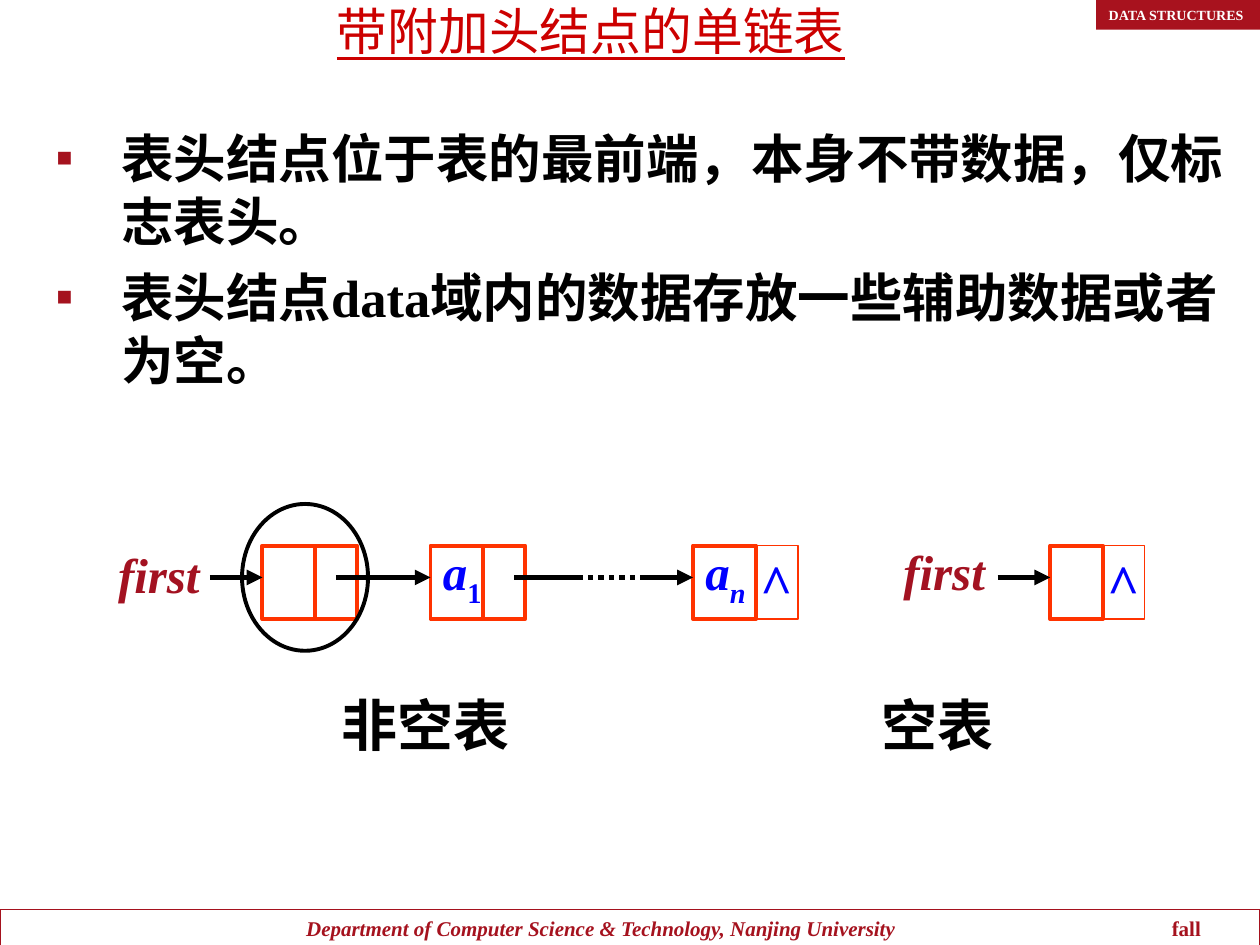
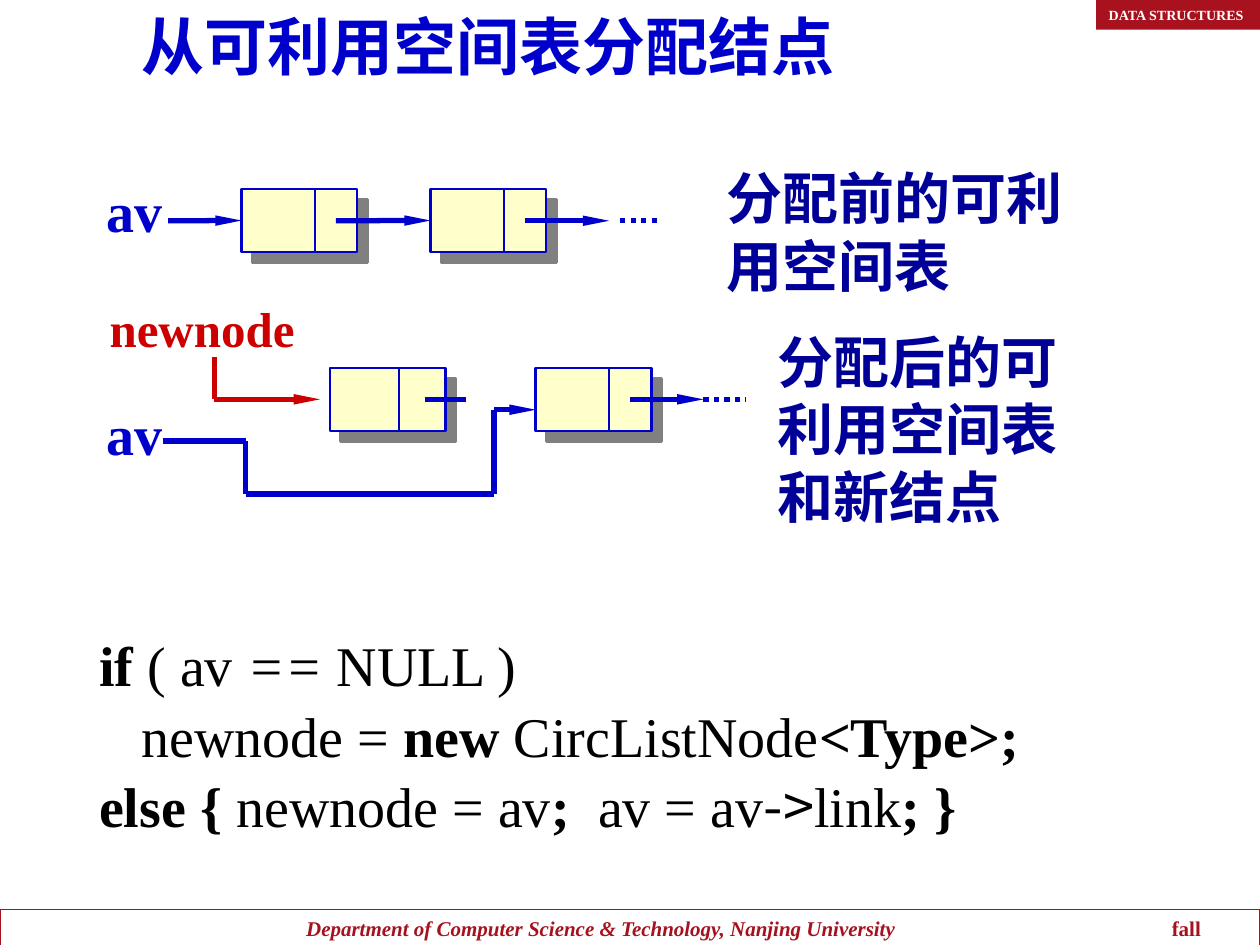
from itertools import pairwise

from lxml import etree
from pptx import Presentation
from pptx.dml.color import RGBColor
from pptx.enum.dml import MSO_LINE
from pptx.enum.shapes import MSO_CONNECTOR, MSO_SHAPE
from pptx.enum.text import MSO_ANCHOR, MSO_AUTO_SIZE, PP_ALIGN
from pptx.oxml.ns import qn
from pptx.util import Cm, Pt

RECT, OVAL = MSO_SHAPE.RECTANGLE, MSO_SHAPE.OVAL
LINE, DOT = MSO_CONNECTOR.STRAIGHT, MSO_LINE.ROUND_DOT
TOP, MID = MSO_ANCHOR.TOP, MSO_ANCHOR.MIDDLE
LEFT, CENTER, RIGHT = PP_ALIGN.LEFT, PP_ALIGN.CENTER, PP_ALIGN.RIGHT
FIXED = MSO_AUTO_SIZE.NONE


class Theme:
    serif, sans = "Times New Roman", "Noto Sans CJK SC"
    wine, band, first = "A5121E", "A8121E", "A31221"
    red, blue, navy, ink = "CC0000", "0000CC", "000099", "000000"
    white, edge, mark = "FFFFFF", "FF3300", "0000FF"
    cream, shade = "FFFFCC", "808080"
    tiny, small, label, body, big = 8, 12, 28, 30, 32
    head, title = 29, 36
    thin, edge_w, node_w, line_w = 0.75, 2.25, 1.5, 3


HEAD = "带附加头结点的单链表"
POINTS = [
    "表头结点位于表的最前端，本身不带数据，仅标志表头。",
    "表头结点data域内的数据存放一些辅助数据或者为空。",
]
CELLS = [
    (5.29, 1.06, None, False),
    (8.68, 1.06, ("a", "1"), False),
    (13.97, 1.27, ("a", "n"), True),
    (21.17, 1.06, None, True),
]
LINKS = [
    (4.23, 5.29, "arrow"),
    (6.77, 8.68, "arrow"),
    (10.37, 11.64, ""),
    (11.64, 12.91, "dot"),
    (12.91, 13.97, "arrow"),
    (20.11, 21.17, "arrow"),
]
FIRSTS = [(2.13, 10.85), (17.96, 10.8)]
NAMES = [("非空表", 6.63), ("空表", 17.53)]

SPACE = "从可利用空间表分配结点"
NODES = [
    (4.87, 3.81, 1.48),
    (8.68, 3.81, 1.48),
    (6.65, 7.42, 1.39),
    (10.8, 7.42, 1.48),
]
ROUTES = [
    (Theme.blue, "arrow", [(3.39, 4.45), (4.87, 4.45)]),
    (Theme.blue, "arrow", [(6.77, 4.45), (8.68, 4.45)]),
    (Theme.blue, "arrow", [(10.58, 4.45), (12.28, 4.45)]),
    (Theme.blue, "dot", [(12.5, 4.45), (13.34, 4.45)]),
    (Theme.red, "arrow", [(4.32, 7.2), (4.32, 8.05), (6.45, 8.05)]),
    (Theme.blue, "", [(8.56, 8.05), (9.4, 8.05)]),
    (Theme.blue, "arrow", [(12.7, 8.05), (14.18, 8.05)]),
    (Theme.blue, "dot", [(14.18, 8.05), (15.03, 8.05)]),
    (Theme.blue, "arrow", [(3.28, 8.89), (4.95, 8.89), (4.95, 9.96),
                           (9.96, 9.96), (9.96, 8.26), (10.8, 8.26)]),
]
TAGS = [
    ("av", (1.9, 3.43, 2, 1.63), Theme.big, Theme.blue),
    ("newnode", (1.96, 5.89, 4.6, 1.45), Theme.label, Theme.red),
    ("av", (1.9, 7.92, 2, 1.63), Theme.big, Theme.blue),
    ("分配前的可利用空间表", (14.4, 3.18, 7.42, 2.97), Theme.big, Theme.navy),
    ("分配后的可利用空间表和新结点", (15.42, 6.48, 6.81, 4.32), Theme.big, Theme.navy),
]
CODE = [
    [("if", "b"), (" ( av ", ""), ("==", "i"), (" NULL )", "")],
    [("   newnode = ", ""), ("new", "b"), (" CircListNode", ""), ("<Type>;", "b")],
    [("else {", "b"), (" newnode = av", ""), (";", "b"), ("  av = av", ""),
     ("->", "s"), ("link", ""), ("; }", "b")],
]


def rgb(code):
    return RGBColor.from_string(code)


def style(run, size, color, bold=True, italic=False, face=Theme.serif):
    font = run.font
    font.size, font.bold, font.italic, font.name = Pt(size), bold, italic, face
    font.color.rgb = rgb(color)
    east = etree.SubElement(run._r.rPr, qn("a:ea"))
    east.set("typeface", Theme.sans)


def put(shape, text, size, color, align=LEFT, anchor=TOP, **look):
    frame = shape.text_frame
    frame.auto_size, frame.word_wrap = FIXED, True
    frame.vertical_anchor = anchor
    frame.text = text
    for para in frame.paragraphs:
        para.alignment = align
        for run in para.runs:
            style(run, size, color, **look)
    return frame


def place(shape, area):
    shape.left, shape.top, shape.width, shape.height = map(Cm, area)
    return shape


def label(slide, text, area, size, color, **look):
    box = slide.shapes.add_textbox(*map(Cm, area))
    return put(box, text, size, color, **look)


def block(slide, area, fill=None, line=None, width=0, kind=RECT):
    shape = slide.shapes.add_shape(kind, *map(Cm, area))
    shape.shadow.inherit = False
    if fill:
        shape.fill.solid()
        shape.fill.fore_color.rgb = rgb(fill)
    else:
        shape.fill.background()
    if line:
        shape.line.color.rgb = rgb(line)
        shape.line.width = Pt(width)
    else:
        shape.line.fill.background()
    return shape


def stroke(slide, start, end, color, width=Theme.line_w, kind="", tip=("med", "med")):
    line = slide.shapes.add_connector(LINE, *map(Cm, (*start, *end)))
    line.line.color.rgb = rgb(color)
    line.line.width = Pt(width)
    if kind == "dot":
        line.line.dash_style = DOT
    if kind == "arrow":
        tail = etree.SubElement(line.line._get_or_add_ln(), qn("a:tailEnd"))
        for key, val in zip(("type", "w", "len"), ("triangle", *tip)):
            tail.set(key, val)
    etree.SubElement(line._element.spPr, qn("a:effectLst"))
    return line


def bullet(para):
    props = para._p.get_or_add_pPr()
    props.set("marL", str(Cm(1.3)))
    props.set("indent", str(-Cm(1.3)))
    color = etree.SubElement(props, qn("a:buClr"))
    etree.SubElement(color, qn("a:srgbClr")).set("val", Theme.wine)
    for tag, key, val in (("buSzPct", "val", "50000"),
                          ("buFont", "typeface", Theme.serif),
                          ("buChar", "char", "■")):
        etree.SubElement(props, qn("a:" + tag)).set(key, val)


def drop(shape):
    effects = shape._element.spPr.find(qn("a:effectLst"))
    cast = etree.SubElement(effects, qn("a:outerShdw"))
    for key, val in (("dist", "107950"), ("dir", "2700000"),
                     ("algn", "ctr"), ("rotWithShape", "0")):
        cast.set(key, val)
    etree.SubElement(cast, qn("a:srgbClr")).set("val", Theme.shade)


def start(deck, layout):
    slide = deck.slides.add_slide(deck.slide_layouts[layout])
    block(slide, (0, 18.34, 25.4, 0.75), line=Theme.wine, width=Theme.thin)
    label(slide, "Department of Computer Science & Technology, Nanjing University",
          (2.12, 18.34, 20, 0.7), Theme.small, Theme.wine, align=CENTER, italic=True)
    label(slide, "fall", (22.4, 18.34, 2.06, 0.7), Theme.small, Theme.wine, align=RIGHT)
    band = block(slide, (22.1, 0, 3.3, 0.6), fill=Theme.band)
    put(band, "DATA STRUCTURES", Theme.tiny, Theme.white)
    return slide


def header(deck):
    slide = start(deck, 1)
    title = place(slide.shapes.title, (3.66, 0, 16.51, 1.5))
    frame = put(title, HEAD, Theme.head, Theme.red, align=CENTER, bold=False)
    frame.margin_top = 0
    frame.paragraphs[0].runs[0].font.underline = True

    body = place(slide.placeholders[1], (0.89, 2.41, 24.51, 6.15))
    frame = put(body, "\n".join(POINTS), Theme.body, Theme.ink)
    for i, para in enumerate(frame.paragraphs):
        para.space_before = Pt(7.5 if i else 0)
        bullet(para)

    top, high, side = 11, 1.48, 0.85
    for left, wide, name, null in CELLS:
        block(slide, (left, top, wide, high), line=Theme.edge, width=Theme.edge_w)
        cell = block(slide, (left + wide, top, side, high), line=Theme.edge,
                     width=Theme.thin if null else Theme.edge_w)
        if null:
            frame = put(cell, "^", Theme.big, Theme.mark, align=CENTER, anchor=MID)
            frame.word_wrap = False
        if name:
            frame = label(slide, name[0], (left, 10.8, 1.7, 1.6),
                          Theme.label, Theme.mark, italic=True)
            sub = frame.paragraphs[0].add_run()
            sub.text = name[1]
            style(sub, Theme.label, Theme.mark, italic=name[1].isalpha())
            sub._r.rPr.set("baseline", "-25000")
    for x, end, kind in LINKS:
        stroke(slide, (x, 11.64), (end, 11.64), Theme.ink, kind=kind)
    for x, y in FIRSTS:
        label(slide, "first", (x, y, 2.4, 1.45), Theme.label, Theme.first, italic=True)
    for text, x in NAMES:
        label(slide, text, (x, 13.79, 4.6, 1.68), Theme.big, Theme.ink, face=Theme.sans)
    block(slide, (4.88, 10.16, 2.54, 2.96), line=Theme.ink, width=Theme.edge_w, kind=OVAL)


def space(deck):
    slide = start(deck, 5)
    title = place(slide.shapes.title, (2.59, 0.03, 16.2, 1.83))
    put(title, SPACE, Theme.title, Theme.blue)

    wide, high = 2.33, 1.27
    doors = {}
    for x, y, split in NODES:
        node = block(slide, (x, y, wide, high), Theme.cream, Theme.blue, Theme.node_w)
        drop(node)
        stroke(slide, (x + split, y), (x + split, y + high), Theme.blue, Theme.node_w)
        doors[x, round(y + high / 2 + 0.001, 2)] = node
    for color, kind, points in ROUTES:
        for a, b in pairwise(points):
            last = b == points[-1]
            line = stroke(slide, a, b, color, kind=kind if last else "", tip=("sm", "lg"))
            if b in doors:
                line.end_connect(doors[b], 1)
    for text, area, size, color in TAGS:
        label(slide, text, area, size, color)

    frame = label(slide, "", (1.75, 12.52, 22.6, 4.6), Theme.big, Theme.ink)
    for i, parts in enumerate(CODE):
        para = frame.add_paragraph() if i else frame.paragraphs[0]
        para.line_spacing = 1.05
        for text, look in parts:
            run = para.add_run()
            run.text = text
            style(run, Theme.big, Theme.ink, bold=look == "b", italic=look == "i",
                  face=Theme.sans if look == "s" else Theme.serif)


def main():
    deck = Presentation()
    deck.slide_width, deck.slide_height = Cm(25.4), Cm(19.05)
    header(deck)
    space(deck)
    deck.save("out.pptx")


if __name__ == "__main__":
    main()
